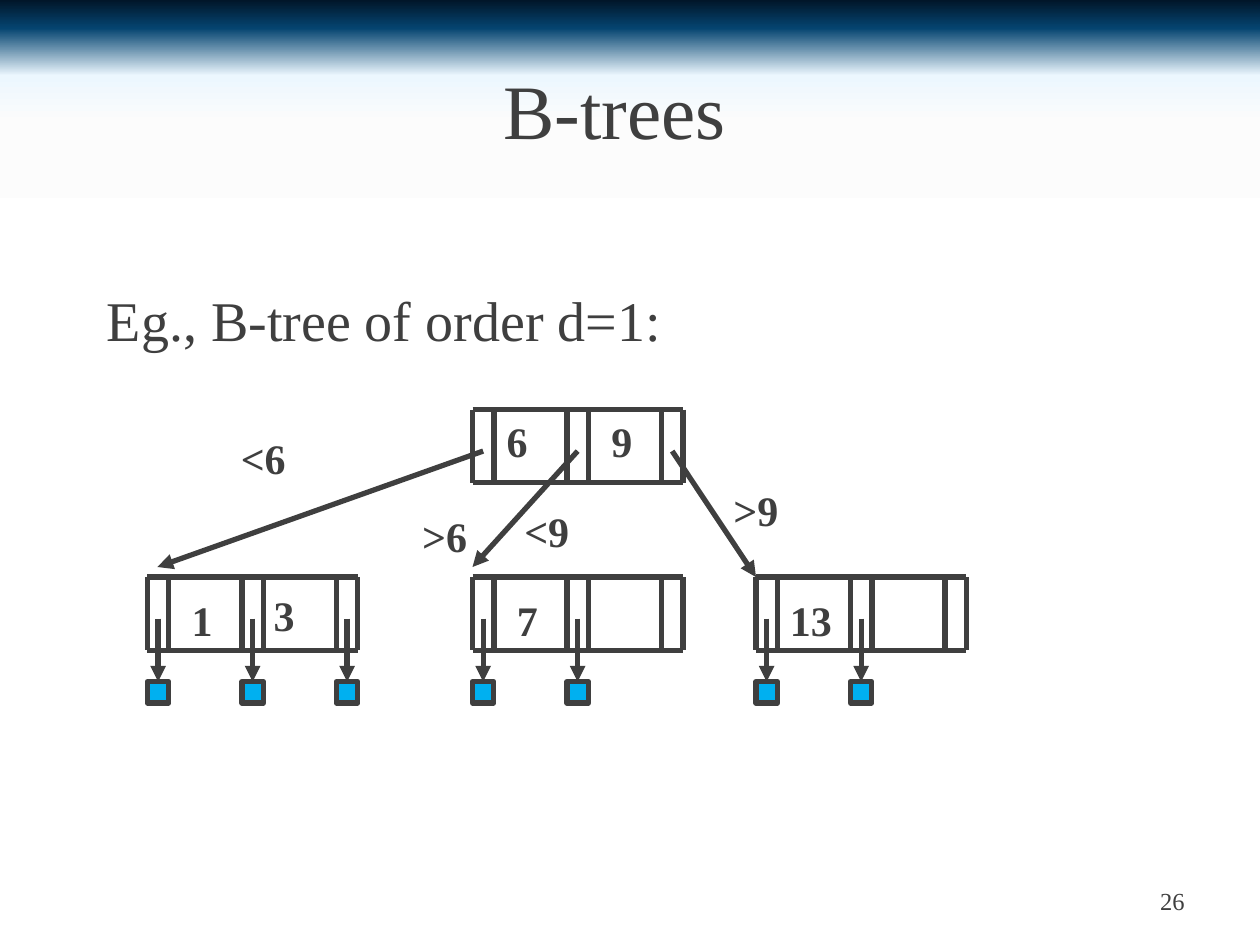
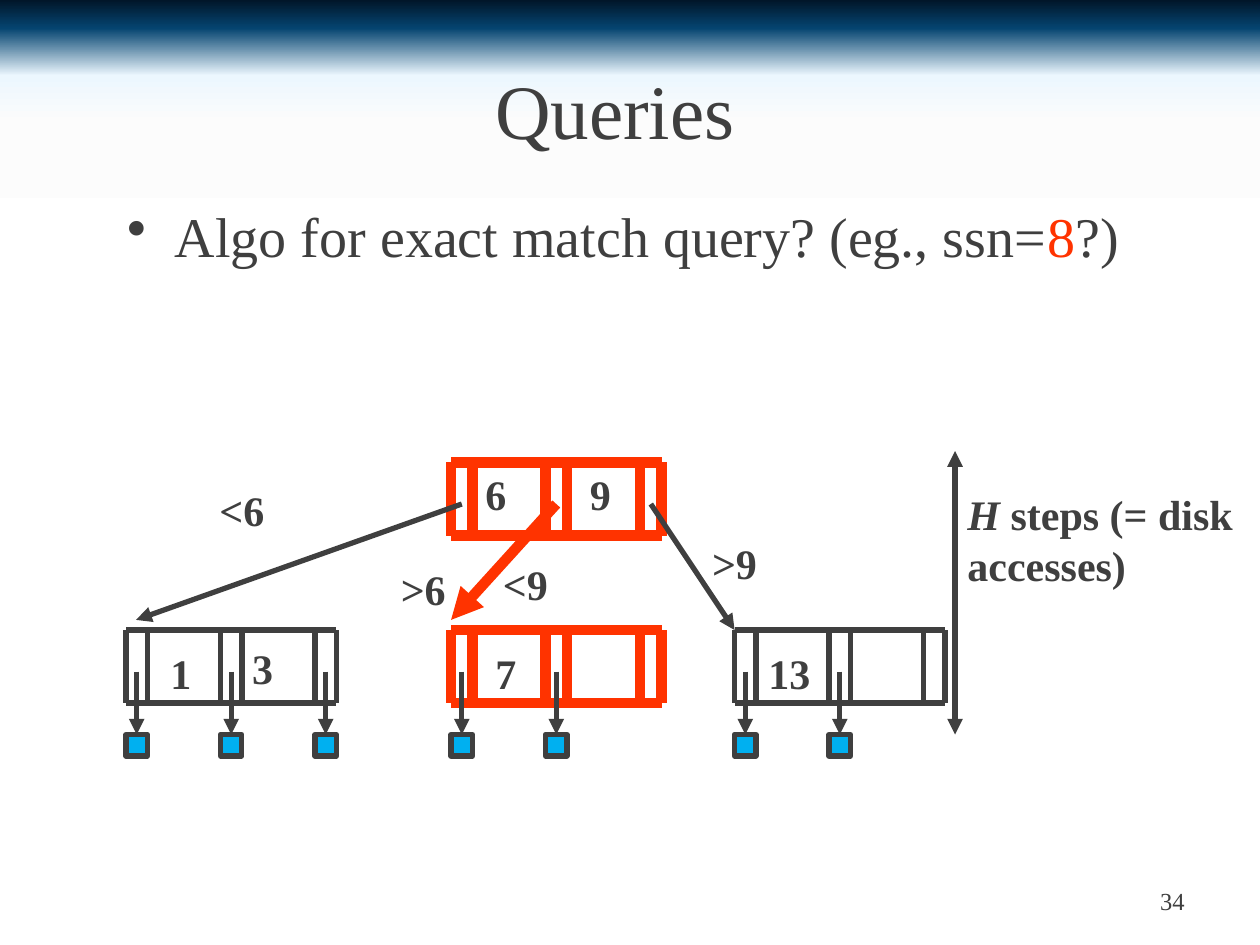
"""Builds two slides on B-trees and exact match queries."""
from pptx import Presentation
from pptx.dml.color import RGBColor
from pptx.enum.shapes import MSO_CONNECTOR as Connector, MSO_SHAPE as Shape
from pptx.enum.text import MSO_ANCHOR as Anchor, PP_ALIGN as Align
from pptx.oxml.ns import qn
from pptx.util import Inches, Pt
from lxml.etree import SubElement

FONT = "Times New Roman"
COLORS = {"ink": "3F3F3F", "path": "FF3300", "record": "00B0F0"}
BACKGROUND = [(0, "011629"), (3, "054470"), (8, "ECF7FE"),
              (13, "FCFCFC"), (21, "FFFFFF"), (98, "FFFFFF")]

SLIDES = [
    {"title": "B-trees", "number": "26",
     "body": ["Eg., B-tree of order d=1:"], "body_box": (0.75, 2.22, 8.5, 0.67),
     "bullet": False, "root": (3.75, 3.25), "visited": None, "height": None},
    {"title": "Queries", "number": "34",
     "body": ["Algo for exact match query? (eg., ssn=", ("8", {"color": "path"}), "?)"],
     "body_box": (0.91, 1.55, 8.68, 5.15),
     "bullet": True, "root": (3.58, 3.67), "visited": 1,
     "height": [("H", {"italic": True}), " steps (= disk accesses)"]},
]

# Tree positions are measured from the top left corner of the root.
LEAVES = [{"left": -2.58, "records": 3, "entry": (-2.5, 1.25)},
          {"left": 0, "records": 2, "entry": (0, 1.25)},
          {"left": 2.25, "records": 2, "entry": (2.25, 1.33)}]
LABELS = [("1", -2.33, 1.42, 0.37), ("3", -1.68, 1.38, 0.37), ("6", 0.17, 0, 0.37),
          ("7", 0.25, 1.42, 0.37), ("9", 1, 0, 0.37), ("13", 2.42, 1.42, 0.53),
          ("<6", -1.94, 0.13, 0.56), (">6", -0.5, 0.75, 0.56),
          ("<9", 0.31, 0.71, 0.56), (">9", 1.97, 0.55, 0.56)]

LEAF_DROP = 1.33
PITCH, SLOT, NODE_HEIGHT = 0.75, 0.17, 0.58
NODE_WIDTH = 2 * PITCH + SLOT
POINTER_TOP, RECORD_TOP = 0.33, 0.83


def rgb(name):
    return RGBColor.from_string(COLORS[name])


def add_text(slide, runs, box, size=24, bold=False, align=Align.LEFT,
             anchor=Anchor.TOP, wrap=True, hanging=False, bullet=False):
    frame = slide.shapes.add_textbox(*map(Inches, box)).text_frame
    frame.word_wrap = wrap
    frame.vertical_anchor = anchor
    paragraph = frame.paragraphs[0]
    paragraph.alignment = align
    if hanging:
        properties = paragraph._p.get_or_add_pPr()
        properties.set("marL", str(Inches(0.38)))
        properties.set("indent", str(-Inches(0.38)))
        if bullet:
            SubElement(properties, qn("a:buChar"), char="•")
        else:
            SubElement(properties, qn("a:buNone"))
    for item in runs:
        text, style = (item, {}) if isinstance(item, str) else item
        run = paragraph.add_run()
        run.text = text
        run.font.name, run.font.size, run.font.bold = FONT, Pt(size), bold
        run.font.italic = style.get("italic", False)
        run.font.color.rgb = rgb(style.get("color", "ink"))


def add_line(slide, start, end, color="ink", width=3, arrows=()):
    line = slide.shapes.add_connector(Connector.STRAIGHT, *map(Inches, (*start, *end)))
    line.line.color.rgb = rgb(color)
    line.line.width = Pt(width)
    for arrow in arrows:
        SubElement(line.line._get_or_add_ln(), qn(f"a:{arrow}"), type="triangle")
    SubElement(line._element.spPr, qn("a:effectLst"))


def add_node(slide, left, top, **style):
    bottom, right = top + NODE_HEIGHT, left + NODE_WIDTH
    for slot in range(3):
        for x in (left + slot * PITCH, left + slot * PITCH + SLOT):
            add_line(slide, (x, top), (x, bottom), **style)
    for y in (top, bottom):
        add_line(slide, (left, y), (right, y), **style)


def add_records(slide, left, top, count):
    for index in range(count):
        x = left + index * PITCH
        middle = x + SLOT / 2
        add_line(slide, (middle, top + POINTER_TOP), (middle, top + RECORD_TOP),
                 arrows=["tailEnd"])
        record = slide.shapes.add_shape(
            Shape.RECTANGLE, *map(Inches, (x, top + RECORD_TOP, SLOT, SLOT)))
        record.shadow.inherit = False
        record.fill.solid()
        record.fill.fore_color.rgb = rgb("record")
        record.line.color.rgb = rgb("ink")
        record.line.width = Pt(3)


def add_tree(slide, root, visited):
    left, top = root
    plain, marked = {}, {"color": "path", "width": 6}
    add_node(slide, left, top, **(plain if visited is None else marked))
    styles = [marked if index == visited else plain for index in range(len(LEAVES))]
    for leaf, style in zip(LEAVES, styles):
        position = left + leaf["left"], top + LEAF_DROP
        add_node(slide, *position, **style)
        add_records(slide, *position, leaf["records"])
    for index, (leaf, style) in enumerate(zip(LEAVES, styles)):
        entry_x, entry_y = leaf["entry"]
        add_line(slide, (left + index * PITCH + SLOT / 2, top + POINTER_TOP),
                 (left + entry_x, top + entry_y), arrows=["tailEnd"], **style)
    for text, x, y, width in LABELS:
        add_text(slide, [text], (left + x, top + y, width, 0.5), bold=True,
                 align=Align.CENTER, wrap=False)


def set_background(master):
    fill = master.background.fill
    fill.gradient()
    fill.gradient_angle = 270
    stops = master.element.find(".//" + qn("p:bgPr")).find(".//" + qn("a:gsLst"))
    for stop in list(stops):
        stops.remove(stop)
    for percent, color in BACKGROUND:
        stop = SubElement(stops, qn("a:gs"), pos=str(percent * 1000))
        SubElement(stop, qn("a:srgbClr"), val=color)


def add_slide(presentation, content):
    slide = presentation.slides.add_slide(presentation.slide_layouts[6])
    add_text(slide, [content["number"]], (7.17, 6.95, 2.33, 0.4), size=14,
             align=Align.RIGHT, anchor=Anchor.MIDDLE)
    add_text(slide, [content["title"]], (0.17, 0.3, 9.42, 1.12), size=44,
             align=Align.CENTER, anchor=Anchor.MIDDLE)
    add_text(slide, content["body"], content["body_box"], size=32,
             hanging=True, bullet=content["bullet"])
    add_tree(slide, content["root"], content["visited"])
    if content["height"]:
        add_line(slide, (7.58, 5.83), (7.58, 3.58), arrows=["headEnd", "tailEnd"])
        add_text(slide, content["height"], (7.58, 3.83, 2.42, 0.9), bold=True)


def main():
    presentation = Presentation()
    presentation.slide_width, presentation.slide_height = Inches(10), Inches(7.5)
    set_background(presentation.slide_master)
    for content in SLIDES:
        add_slide(presentation, content)
    presentation.save("out.pptx")


if __name__ == "__main__":
    main()
